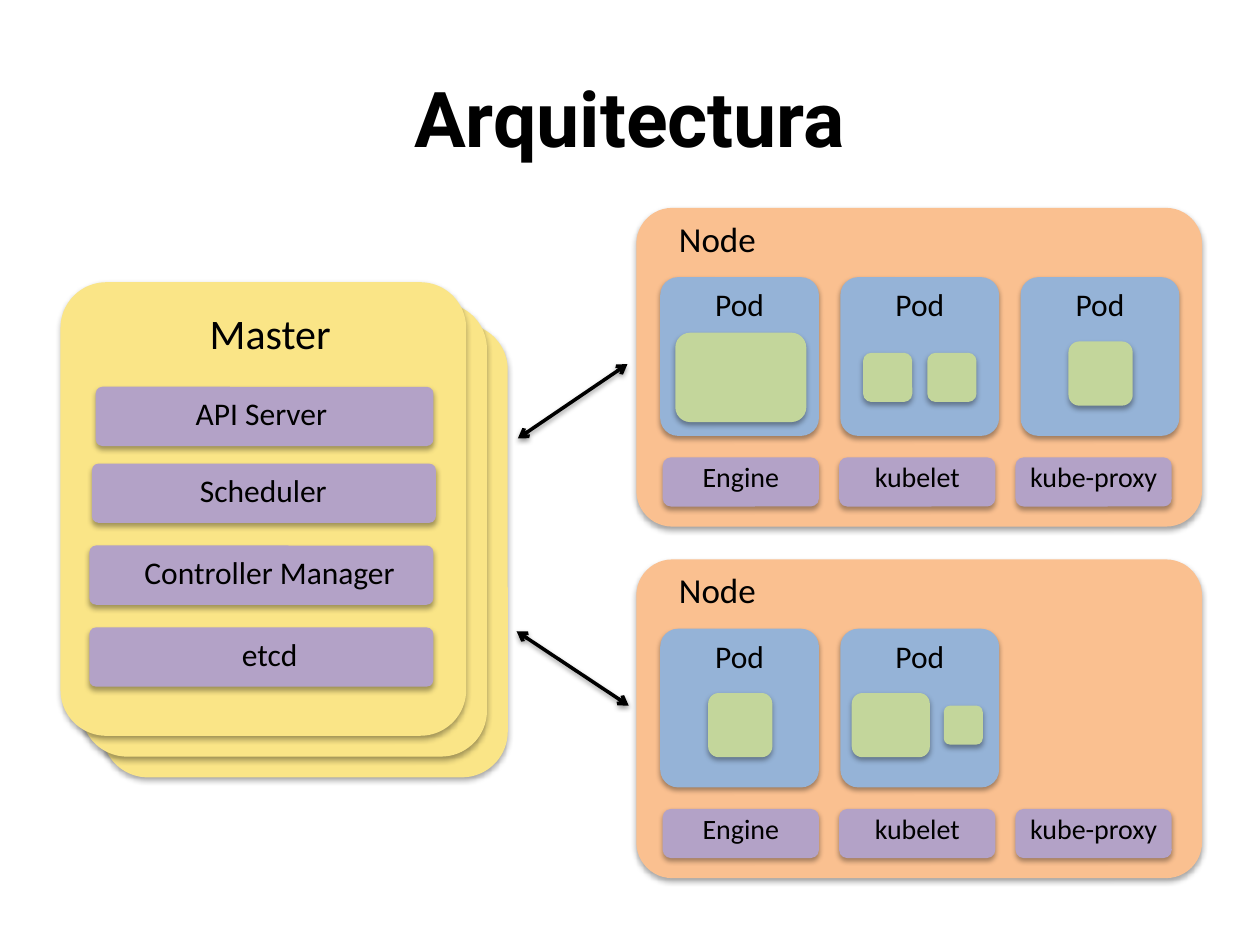
from lxml.etree import SubElement
from pptx import Presentation
from pptx.dml.color import RGBColor
from pptx.enum.shapes import MSO_CONNECTOR, MSO_SHAPE
from pptx.enum.text import MSO_ANCHOR, MSO_AUTO_SIZE, PP_ALIGN
from pptx.oxml.ns import qn
from pptx.util import Inches, Pt

COLORS = {"master": "FAE587", "node": "FAC090", "pod": "95B3D7",
          "container": "C3D69B", "service": "B3A2C7", "ink": "000000"}
COLS = 100  # square grid: 100 columns by 75 rows
SOFT, ROUND = 0.113, 0.167  # corner radii

prs = Presentation()
prs.slide_width, prs.slide_height = Inches(10), Inches(7.5)


def grid(*lengths):
    """Turn grid columns or rows into slide lengths."""
    return [round(n * prs.slide_width / COLS) for n in lengths]


def color(name):
    return RGBColor.from_string(COLORS[name])


def add_shadow(sp, alpha, dist):
    effects = SubElement(sp._element.spPr, qn("a:effectLst"))
    shadow = SubElement(effects, qn("a:outerShdw"), blurRad=str(Pt(3.1)),
                        dist=str(Pt(dist)), dir="5400000", rotWithShape="0")
    black = SubElement(shadow, qn("a:srgbClr"), val=COLORS["ink"])
    SubElement(black, qn("a:alpha"), val=str(alpha * 1000))


def add_box(s, x, y, w, h, fill, radius=ROUND):
    sp = s.shapes.add_shape(MSO_SHAPE.ROUNDED_RECTANGLE, *grid(x, y, w, h))
    sp.adjustments[0] = radius
    sp.fill.solid()
    sp.fill.fore_color.rgb = color(fill)
    sp.line.fill.background()
    add_shadow(sp, 35, 1.8)


def format_text(tf, text, align=PP_ALIGN.CENTER, **font):
    p = tf.paragraphs[0]
    p.alignment = align
    r = p.add_run()
    r.text = text
    r.font.color.rgb = color("ink")
    for key, value in font.items():
        setattr(r.font, key, value)


def add_label(s, x, y, w, h, text, size, align=PP_ALIGN.CENTER):
    tf = s.shapes.add_textbox(*grid(x, y, w, h)).text_frame
    tf.word_wrap = True
    tf.auto_size = MSO_AUTO_SIZE.SHAPE_TO_FIT_TEXT
    format_text(tf, text, align, name="Calibri", size=Pt(size))


def add_title(s, text):
    sp = s.shapes.title
    sp.left, sp.top, sp.width, sp.height = grid(5, 3, 90, 12.5)
    sp.text_frame.vertical_anchor = MSO_ANCHOR.MIDDLE
    format_text(sp.text_frame, text, name="Roboto", size=Pt(44), bold=True)


def add_master(s, x, y, w, h, services):
    # Stacked cards, back to front
    for step in (2, 1, 0):
        add_box(s, x + 1.65 * step, y + 1.65 * step, w, h, "master", SOFT)
    add_label(s, x + 9.8, y + 1.5, 13.7, 5, "Master", 24)
    for text, dx, dy, width, center in services:
        add_box(s, x + dx, y + dy, width, 4.7, "service", SOFT)
        add_label(s, x + center - 14.1, y + dy + 0.1, 28.2, 4, text, 18)


def add_pod(s, x, y, containers):
    add_box(s, x, y, 12.6, 12.6, "pod", SOFT)
    add_label(s, x + 3.2, y + 0.15, 6.2, 4, "Pod", 18)
    for dx, dy, w, h in containers:
        add_box(s, x + dx, y + dy, w, h, "container")


def add_node(s, x, y, w, h, pods):
    add_box(s, x, y, w, h, "node", SOFT)
    add_label(s, x + 2.4, y + 0.25, 8.6, 4.4, "Node", 20, PP_ALIGN.LEFT)
    for i, containers in enumerate(pods):
        add_pod(s, x + 1.9 + 14.3 * i, y + 5.5, containers)
    for i, text in enumerate(("Engine", "kubelet", "kube-proxy")):
        dx = 2.1 + 14 * i
        add_box(s, x + dx, y + 19.8, 12.4, 3.9, "service")
        add_label(s, x + dx - 0.85, y + 19.5, 14.1, 3.7, text, 16)


def add_arrow(s, x1, y1, x2, y2):
    c = s.shapes.add_connector(MSO_CONNECTOR.STRAIGHT, *grid(x1, y1, x2, y2))
    c.line.color.rgb = color("ink")
    c.line.width = Pt(2)
    for end in ("a:headEnd", "a:tailEnd"):
        SubElement(c.line._get_or_add_ln(), qn(end), type="arrow")
    add_shadow(c, 38, 1.6)


def main():
    s = prs.slides.add_slide(prs.slide_layouts[5])
    add_title(s, "Arquitectura")

    # Master: text, left, top, width and label centre of each service
    add_master(s, 4.8, 22.4, 32.2, 36, [
        ("API Server", 2.8, 8.3, 26.8, 15.95),
        ("Scheduler", 2.5, 14.4, 27.3, 16.1),
        ("Controller Manager", 2.3, 20.9, 27.3, 16.6),
        ("etcd", 2.3, 27.4, 27.3, 16.6)])

    # Nodes: containers of each pod, measured from the pod's corner
    single = [(3.8, 5.1, 5.1, 5.1)]
    nodes = [
        [[(1.2, 4.4, 10.4, 7.1)],
         [(1.8, 6, 3.9, 3.9), (6.9, 6, 3.9, 3.9)],
         single],
        [single,
         [(0.9, 5.1, 6.2, 5.1), (8.2, 6.1, 3.1, 3.1)]]]
    for i, pods in enumerate(nodes):
        add_node(s, 50.5, 16.5 + 27.9 * i, 44.9, 25.3, pods)

    # Links between master and nodes
    add_arrow(s, 49.8, 28.9, 41.1, 34.8)
    add_arrow(s, 49.9, 56, 41, 50.1)
    prs.save("out.pptx")


if __name__ == "__main__":
    main()
